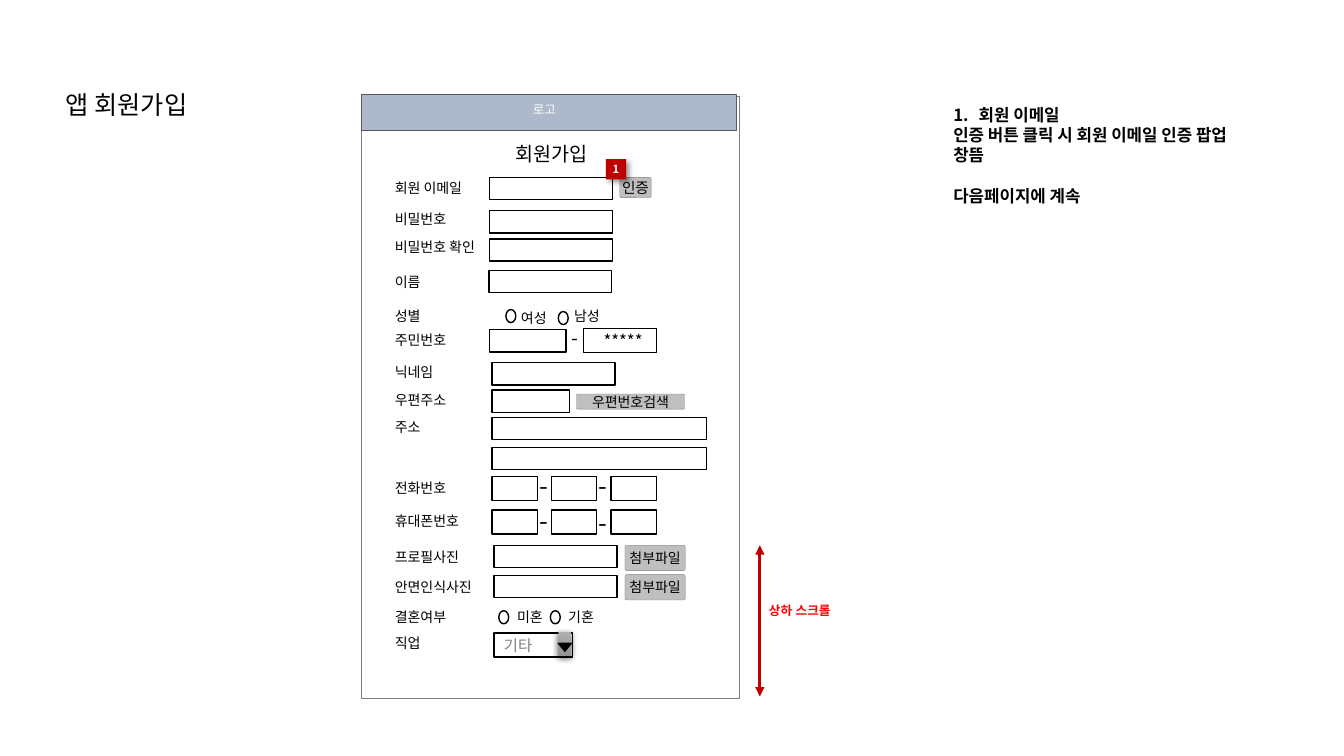
from lxml import etree
from pptx import Presentation
from pptx import util as u
from pptx.dml.color import RGBColor
from pptx.enum import shapes, text
from pptx.oxml import ns

FONT = "Noto Sans CJK KR"
COLORS = {
    "black": "000000", "white": "FFFFFF", "header": "ADB9CA", "header_edge": "595959",
    "panel_edge": "7F7F7F", "button": "BFBFBF", "hint": "808080",
    "accent": "C00000", "scroll": "FF0000", "knob_top": "AFAFAF", "knob_bottom": "939393",
}
SHAPE = shapes.MSO_SHAPE
ALIGN = text.PP_ALIGN
ANCHOR = text.MSO_ANCHOR

LABEL_LEFT = 9.7
LABELS = [
    ("회원 이메일", 4.39), ("비밀번호", 5.18), ("비밀번호 확인", 5.89), ("이름", 6.76),
    ("성별", 7.62), ("주민번호", 8.23), ("닉네임", 9.02), ("우편주소", 9.73),
    ("주소", 10.41), ("전화번호", 11.94), ("휴대폰번호", 12.78), ("프로필사진", 13.69),
    ("안면인식사진", 14.45), ("결혼여부", 15.21), ("직업", 15.85),
]
# left, top, width
INPUTS = [
    (12.34, 4.47, 3.1), (12.34, 5.31, 3.1), (12.34, 6.02, 3.1), (12.32, 6.81, 3.1),
    (12.34, 8.31, 1.93), (12.4, 9.14, 3.1), (12.4, 9.83, 1.96), (12.4, 10.52, 5.41),
    (12.4, 11.28, 5.41), (12.45, 13.74, 3.1), (12.45, 14.5, 3.1),
]
# wording, left, top, width, height, size
BUTTONS = [
    ("인증", 15.62, 4.47, 0.79, 0.51, 10.5),
    ("우편번호검색", 14.53, 9.93, 2.72, 0.38, 10),
    ("첨부파일", 15.75, 13.74, 1.52, 0.64, 10),
    ("첨부파일", 15.75, 14.48, 1.52, 0.64, 10),
]
# wording, circle left and top, wording left and top
RADIOS = [
    ("여성", 12.75, 7.8, 12.88, 7.67), ("남성", 14.07, 7.85, 14.22, 7.62),
    ("미혼", 12.57, 15.39, 12.78, 15.21), ("기혼", 13.87, 15.39, 14.07, 15.21),
]
# top of the boxes, tops of the two dashes
PHONES = [(12.01, (11.79, 11.79)), (12.85, (12.65, 12.7))]
PHONE_STEP = 1.5


def rgb(name):
    return RGBColor.from_string(COLORS[name])


def box(left, top, width, height):
    return [u.Cm(v) for v in (left, top, width, height)]


def write(paragraph, wording, size=10, color="black", bold=False, font=FONT,
          align=ALIGN.LEFT, spacing=None, before=0):
    """Put one formatted run into a paragraph."""
    run = paragraph.add_run()
    run.text = wording
    run.font.size = u.Pt(size)
    run.font.bold = bold
    run.font.name = font
    run.font.color.rgb = rgb(color)
    etree.SubElement(run.font._element, ns.qn("a:ea"), typeface=font)
    paragraph.alignment = align
    paragraph.space_before = u.Pt(before)
    if spacing:
        paragraph.line_spacing = u.Pt(spacing)


def add_text(slide, wording, left, top, width=3, height=0.69, **style):
    frame = slide.shapes.add_textbox(*box(left, top, width, height)).text_frame
    frame.word_wrap = True
    frame.vertical_anchor = ANCHOR.MIDDLE
    write(frame.paragraphs[0], wording, **style)


def add_block(slide, left, top, width, height, kind=SHAPE.RECTANGLE,
              fill="white", line="black", weight=1):
    block = slide.shapes.add_shape(kind, *box(left, top, width, height))
    block.shadow.inherit = False
    block.fill.solid()
    block.fill.fore_color.rgb = rgb(fill)
    if line:
        block.line.color.rgb = rgb(line)
        block.line.width = u.Pt(weight)
    else:
        block.line.fill.background()
    return block


def fill_text(block, wording, inset=0.0, wrap=True, **style):
    frame = block.text_frame
    frame.word_wrap = wrap
    frame.vertical_anchor = ANCHOR.MIDDLE
    frame.margin_left = u.Cm(inset)
    frame.margin_right = frame.margin_top = frame.margin_bottom = 0
    write(frame.paragraphs[0], wording, **style)


def add_button(slide, wording, left, top, width, height, size):
    button = add_block(slide, left, top, width, height, SHAPE.ROUNDED_RECTANGLE,
                       "button", "hint", 0.25)
    button.adjustments[0] = 0.075
    fill_text(button, wording, size=size, align=ALIGN.CENTER)


def add_radio(slide, wording, left, top, text_left, text_top):
    add_block(slide, left, top, 0.25, 0.33, SHAPE.OVAL)
    add_text(slide, wording, text_left, text_top, 1.45)


def add_phone(slide, top, dash_tops):
    for i in range(3):
        add_block(slide, 12.4 + i * PHONE_STEP, top, 1.14, 0.61)
    for i, dash_top in enumerate(dash_tops):
        add_text(slide, "-", 13.34 + i * PHONE_STEP, dash_top, 0.89, 0.91, size=18)


def cast_shadow(block, alpha, blur, distance, angle):
    effects = block._element.spPr.find(ns.qn("a:effectLst"))
    shadow = etree.SubElement(
        effects, ns.qn("a:outerShdw"), blurRad=str(u.Pt(blur)), dist=str(u.Pt(distance)),
        dir=str(angle * 60000), algn="t", rotWithShape="0")
    color = etree.SubElement(shadow, ns.qn("a:srgbClr"), val=COLORS["black"])
    etree.SubElement(color, ns.qn("a:alpha"), val=str(alpha * 1000))


def place(placeholder, left, top, width, height):
    placeholder.left, placeholder.top, placeholder.width, placeholder.height = box(
        left, top, width, height)
    frame = placeholder.text_frame
    frame.auto_size = text.MSO_AUTO_SIZE.NONE
    frame.vertical_anchor = ANCHOR.TOP
    return frame


def set_bullet(paragraph, numbered):
    props = paragraph._p.get_or_add_pPr()
    indent = u.Cm(0.64) if numbered else 0
    props.set("marL", str(indent))
    props.set("indent", str(-indent))
    if numbered:
        etree.SubElement(props, ns.qn("a:buFont"), typeface=FONT)
        etree.SubElement(props, ns.qn("a:buAutoNum"), type="arabicPeriod")
    else:
        etree.SubElement(props, ns.qn("a:buNone"))


def add_notes(placeholder):
    frame = place(placeholder, 23.77, 2.51, 7.77, 2.82)
    notes = [("회원 이메일", True, 0),
             ("인증 버튼 클릭 시 회원 이메일 인증 팝업 창뜸", False, 0),
             ("다음페이지에 계속", False, 14.4)]
    for i, (wording, numbered, before) in enumerate(notes):
        paragraph = frame.add_paragraph() if i else frame.paragraphs[0]
        set_bullet(paragraph, numbered)
        write(paragraph, wording, size=12, bold=True, spacing=14.4, before=before)


def add_scroll_arrow(slide):
    arrow = slide.shapes.add_connector(
        shapes.MSO_CONNECTOR.STRAIGHT, *box(19.15, 13.74, 19.15, 17.55))
    arrow.line.color.rgb = rgb("accent")
    arrow.line.width = u.Pt(2.25)
    line = arrow.line._get_or_add_ln()
    for end in ("a:headEnd", "a:tailEnd"):
        etree.SubElement(line, ns.qn(end), type="triangle")
    etree.SubElement(arrow._element.spPr, ns.qn("a:effectLst"))


def add_job_select(slide):
    fill_text(add_block(slide, 12.45, 15.95, 1.98, 0.61), "기타", inset=0.25,
              size=11, color="hint")
    knob = add_block(slide, 14.07, 15.93, 0.33, 0.61, line=None)
    knob.fill.gradient()
    knob.fill.gradient_angle = 270
    for stop, name in zip(knob.fill.gradient_stops, ("knob_top", "knob_bottom")):
        stop.color.rgb = rgb(name)
    cast_shadow(knob, 63, 4.5, 1.5, 90)
    add_block(slide, 14.07, 16.21, 0.33, 0.2, SHAPE.ISOSCELES_TRIANGLE, "black").rotation = 180


def main():
    deck = Presentation()
    deck.slide_width, deck.slide_height = u.Cm(33.87), u.Cm(19.05)
    slide = deck.slides.add_slide(deck.slide_layouts[1])

    # Page title and description
    title = place(slide.shapes.title, 0.18, 2.13, 6.02, 0.71)
    write(title.paragraphs[0], "앱 회원가입", size=18, align=ALIGN.CENTER, spacing=21.6)
    add_notes(slide.placeholders[1])

    # App screen
    add_block(slide, 9.12, 2.44, 9.52, 15.16, line="panel_edge", weight=0.75)
    add_block(slide, 9.12, 2.39, 9.45, 0.89, fill="header", line="header_edge", weight=0.75)
    add_text(slide, "로고", 13.18, 2.4, 2.69, 0.72, size=9, color="white")
    add_text(slide, "회원가입", 12.73, 3.48, 4.8, 0.76, size=14)

    # Scroll hint
    add_scroll_arrow(slide)
    add_text(slide, "상하 스크롤", 19.13, 15.06, 5.49, 0.64, size=9, color="scroll",
             bold=True, font="Arial")

    # Form fields
    for wording, top in LABELS:
        add_text(slide, wording, LABEL_LEFT, top)
    for left, top, width in INPUTS:
        add_block(slide, left, top, width, 0.56)
    for button in BUTTONS:
        add_button(slide, *button)
    for radio in RADIOS:
        add_radio(slide, *radio)
    for phone in PHONES:
        add_phone(slide, *phone)
    add_text(slide, "-", 14.15, 8, 1.3, 1.02, size=14)
    fill_text(add_block(slide, 14.71, 8.28, 1.83, 0.61), "*****", inset=0.5, size=12)
    add_job_select(slide)

    # Numbered marker
    marker = add_block(slide, 15.27, 4.01, 0.51, 0.51, fill="accent", line=None)
    cast_shadow(marker, 40, 4, 3, 45)
    fill_text(marker, "1", wrap=False, size=8, color="white", bold=True, align=ALIGN.CENTER)

    deck.save("out.pptx")


if __name__ == "__main__":
    main()
